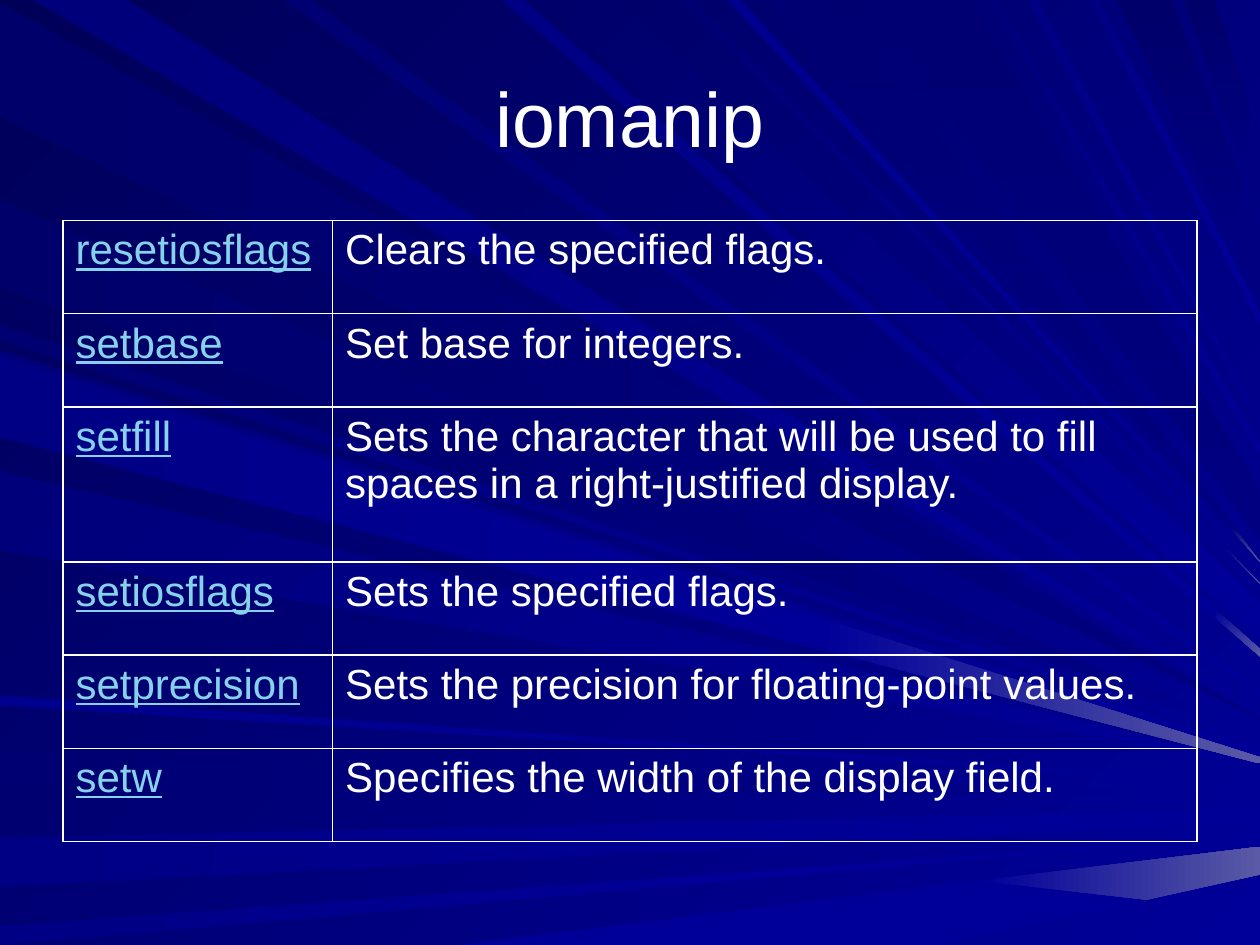
from lxml import etree
from pptx import Presentation
from pptx.dml.color import RGBColor
from pptx.enum.text import MSO_ANCHOR, PP_ALIGN
from pptx.oxml.ns import qn
from pptx.util import Pt

MIDDLE = MSO_ANCHOR.MIDDLE
CENTER = PP_ALIGN.CENTER
PX = 9144
WIDTH = 1000
HEIGHT = 750
FONT = "Arial"
COLORS = {
    "white": "FFFFFF",
    "link": "86D1EC",
    "black": "000058",
    "night": "00006B",
    "dim": "000073",
    "navy": "00007B",
    "dusk": "000080",
    "royal": "000085",
    "clear": "00008E",
    "bright": "000099",
    "haze": "5A5AA6",
}
SPLITS = {"whole": 1, "late": 0.94, "most": 0.85, "early": 0.8, "some": 0.65}

RAYS = [
    ("left", (2, 93), (570,), "whole", "night dusk"),
    ("top", (26, 101), (563,), "whole", "navy bright"),
    ("left", (596, 623), (632,), "some", "dim dusk bright"),
    ("left", (665, 704), (643, 651), "most", "royal bright bright"),
    ("left", (735, 750), (662,), "some", "royal bright bright"),
    ("bottom", (364, 742), (672, 694), "some", "bright bright haze"),
    ("left", (258, 270), (589,), "most", "dim bright bright"),
    ("left", (159, 228), (585,), "most", "night dusk bright"),
    ("top", (398, 416), (515, 521), "late", "royal bright haze"),
    ("top", (426, 492), (479, 507), "late", "night bright bright"),
    ("top", (540, 552), (463,), "late", "dim bright haze"),
    ("top", (606, 661), (446,), "late", "dim dusk haze"),
    ("top", (887, 930), (183, 237), "early", "night dusk dusk"),
    ("top", (939, 964), (114, 167), "early", "night dusk dusk"),
    ("left", (278, 342), (596, 602), "whole", "navy bright"),
    ("left", (374, 437), (606,), "whole", "navy bright"),
    ("left", (552, 560), (622,), "whole", "clear bright"),
    ("top", (225, 247), (547, 552), "whole", "dim bright"),
    ("top", (577, 588), (454,), "whole", "clear bright"),
    ("top", (686, 770), (390, 428), "whole", "dim dusk"),
    ("top", (785, 792), (354, 360), "whole", "navy bright"),
    ("top", (815, 824), (336,), "whole", "royal bright"),
    ("top", (865, 872), (249, 258), "whole", "royal bright"),
    ("left", (283, 347), (601, 606), "some", "royal bright haze"),
]

ROWS = [
    ("resetiosflags", "Clears the specified flags."),
    ("setbase", "Set base for integers."),
    ("setfill", "Sets the character that will be used to fill spaces in a right-justified display."),
    ("setiosflags", "Sets the specified flags."),
    ("setprecision", "Sets the precision for floating-point values."),
    ("setw", "Specifies the width of the display field."),
]


def paint(fill, start, end, angle):
    if start == end:
        fill.solid()
        fill.fore_color.rgb = RGBColor.from_string(COLORS[start])
        return
    fill.gradient()
    fill.gradient_angle = -angle % 360
    for stop, color in zip(fill.gradient_stops, (start, end)):
        stop.color.rgb = RGBColor.from_string(COLORS[color])


def write(frame, text, size, color):
    para = frame.paragraphs[0]
    para.text = text
    para.font.name = FONT
    para.font.size = Pt(size)
    para.font.color.rgb = RGBColor.from_string(COLORS[color])
    return para


deck = Presentation()
deck.slide_width = WIDTH * PX
deck.slide_height = HEIGHT * PX
page = deck.slides.add_slide(deck.slide_layouts[6])
paint(page.background.fill, "black", "bright", 45)

for edge, base, tip, split, shades in RAYS:
    shades = shades.split()
    sides = []
    for value, end in zip(base, (tip[0], tip[-1]) if edge != "top" else (tip[-1], tip[0])):
        x, y = {"left": (0, value), "top": (value, 0), "bottom": (value, HEIGHT)}[edge]
        part = SPLITS[split]
        cut = (round(x + (WIDTH - x) * part), round(y + (end - y) * part))
        sides.append([(x, y), cut, (WIDTH, end)])
    if edge == "top":
        angle = 90 if shades[1] == "dusk" else 45
    else:
        angle = 45 if split == "whole" and shades[1] == "bright" else 0
    for piece in range(len(shades) - 1):
        first, second = (side[piece:piece + 2] for side in sides)
        builder = page.shapes.build_freeform(*first[0], scale=PX)
        builder.add_line_segments([first[1], second[1], second[0]], close=True)
        ray = builder.convert_to_shape()
        ray.shadow.inherit = False
        ray.line.fill.background()
        paint(ray.fill, shades[piece], shades[piece + 1], angle)

title = page.shapes.add_textbox(50 * PX, 30 * PX, 900 * PX, 125 * PX)
title.text_frame.word_wrap = True
title.text_frame.vertical_anchor = MIDDLE
write(title.text_frame, "iomanip", 44, "white").alignment = CENTER

table = page.shapes.add_table(len(ROWS), 2, 50 * PX, 175 * PX, 900 * PX, 495 * PX).table
table.first_row = False
table.horz_banding = False
table.columns[0].width = 214 * PX
table.columns[1].width = 686 * PX

for row, texts in zip(table.rows, ROWS):
    row.height = (123 if texts[0] == "setfill" else 74) * PX
    for cell, text, color in zip(row.cells, texts, ("link", "white")):
        para = write(cell.text_frame, text, 24, color)
        para.font.underline = color == "link"
        properties = cell._tc.get_or_add_tcPr()
        for side in ("a:lnL", "a:lnR", "a:lnT", "a:lnB"):
            border = etree.SubElement(properties, qn(side), w=str(Pt(1)))
            solid = etree.SubElement(border, qn("a:solidFill"))
            etree.SubElement(solid, qn("a:srgbClr"), val=COLORS["white"])
        cell.fill.background()

deck.save("out.pptx")
